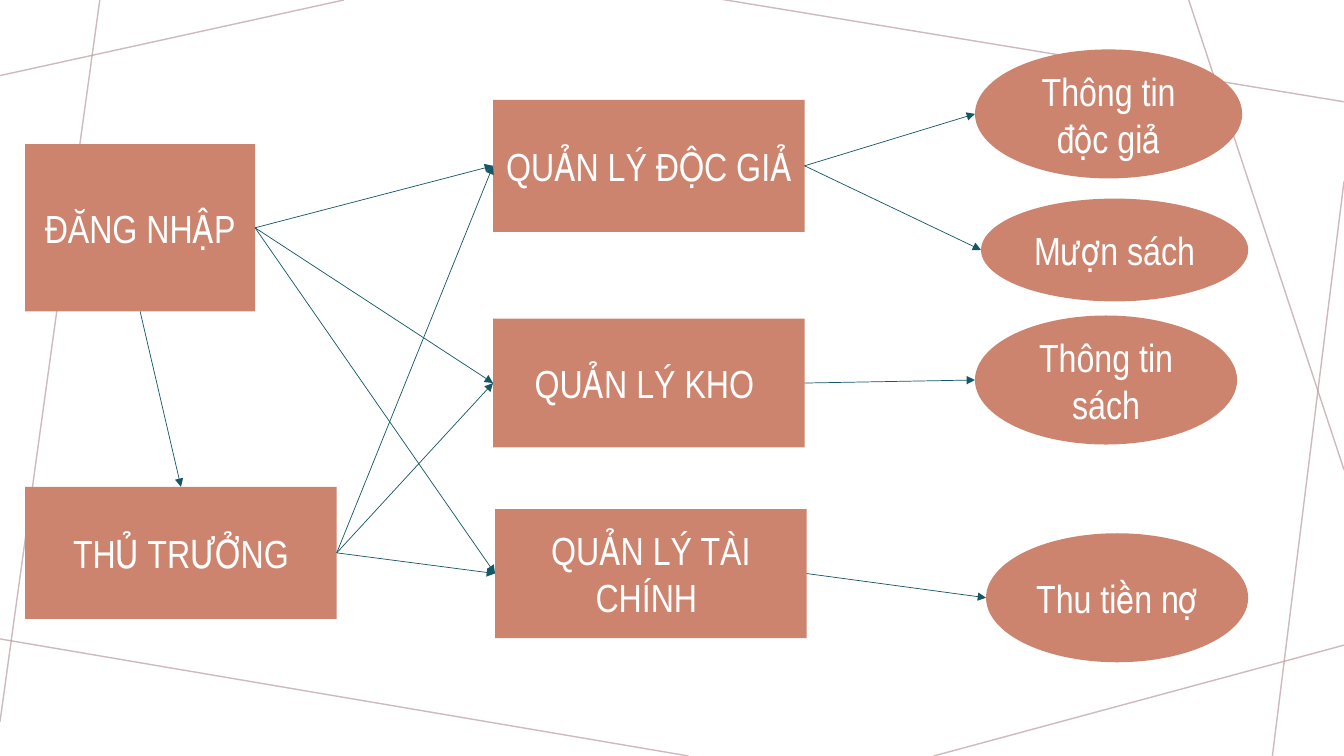
import pptx
import pptx.util
import pptx.dml.color
import pptx.enum.shapes
import pptx.enum.text
import pptx.oxml
import pptx.oxml.ns
from dataclasses import dataclass

Inches, Pt = pptx.util.Inches, pptx.util.Pt
RGB = pptx.dml.color.RGBColor.from_string
SHAPE = pptx.enum.shapes.MSO_SHAPE
TOP, LEFT, BOTTOM, RIGHT = range(4)


@dataclass(frozen=True)
class Theme:
    background: str = "FFFFFF"
    node: str = "CC846E"
    text: str = "FFFFFF"
    arrow: str = "155767"
    decoration: str = "BA9CA0"
    decoration_opacity: int = 70
    font: str = "Arial Narrow"
    text_size: float = 28
    arrow_width: float = 0.5
    decoration_width: float = 1


THEME = Theme()

# Content: text, left, top, width, height
MODULES = {
    "login": ("ĐĂNG NHẬP", 0.25, 1.43, 2.28, 1.66),
    "head": ("THỦ TRƯỞNG", 0.25, 4.83, 3.09, 1.31),
    "readers": ("QUẢN LÝ ĐỘC GIẢ", 4.89, 0.99, 3.09, 1.31),
    "stock": ("QUẢN LÝ KHO ", 4.89, 3.16, 3.09, 1.28),
    "finance": ("QUẢN LÝ TÀI CHÍNH ", 4.91, 5.05, 3.09, 1.28),
}
FUNCTIONS = {
    "reader info": ("Thông tin độc giả", 9.67, 0.49, 2.65, 1.28),
    "borrowing": ("Mượn sách", 9.73, 1.97, 2.65, 1.02),
    "book info": ("Thông tin sách", 9.67, 3.13, 2.6, 1.28),
    "debt": ("Thu tiền nợ", 9.78, 5.29, 2.6, 1.28),
}
FLOWS = {
    "login": ["readers", "stock", "finance"],
    "head": ["readers", "stock", "finance"],
    "readers": ["reader info", "borrowing"],
    "stock": ["book info"],
    "finance": ["debt"],
}
DECORATION = [
    (3.41, 0, 0, 0.75),
    (0.99, 0, 0, 7.16),
    (6.83, 7.5, -0.05, 6.33),
    (13.33, 6.4, 9.26, 7.5),
    (13.33, 1.8, 12.62, 7.5),
    (13.33, 4.66, 11.79, 0),
    (13.33, 1.01, 7.14, -0.01),
]

deck = pptx.Presentation()
deck.slide_width, deck.slide_height = Inches(13.33), Inches(7.5)
slide = deck.slides.add_slide(deck.slide_layouts[6])
slide.background.fill.solid()
slide.background.fill.fore_color.rgb = RGB(THEME.background)


def add_child(parent, tag, **attributes):
    child = pptx.oxml.ns.qn(tag)
    element = parent.makeelement(child, attributes)
    parent.append(element)
    return element


def add_line(ends, color, width):
    line = slide.shapes.add_connector(
        pptx.enum.shapes.MSO_CONNECTOR.STRAIGHT, *ends)
    line.line.color.rgb = RGB(color)
    line.line.width = Pt(width)
    add_child(line._element.spPr, "a:effectLst")
    return line


def add_node(preset, text, *box):
    node = slide.shapes.add_shape(preset, *map(Inches, box))
    node.shadow.inherit = False
    node.fill.solid()
    node.fill.fore_color.rgb = RGB(THEME.node)
    node.line.fill.background()
    frame = node.text_frame
    frame.word_wrap = True
    frame.vertical_anchor = pptx.enum.text.MSO_ANCHOR.MIDDLE
    paragraph = frame.paragraphs[0]
    paragraph.text = text
    paragraph.alignment = pptx.enum.text.PP_ALIGN.CENTER
    paragraph.font.name = THEME.font
    paragraph.font.size = Pt(THEME.text_size)
    paragraph.font.color.rgb = RGB(THEME.text)
    return node


def add_flow(source, source_side, target, target_side=None):
    """Join rectangles; without a target side, end at the ellipse's left point."""
    end = target.left, target.top + target.height // 2
    flow = add_line((source.left, source.top, *end), THEME.arrow, THEME.arrow_width)
    flow.begin_connect(source, source_side)
    if target_side is not None:
        flow.end_connect(target, target_side)
    add_child(flow.line._get_or_add_ln(), "a:tailEnd", type="triangle")


# Decorative lines behind the diagram
for ends in DECORATION:
    stroke = add_line(map(Inches, ends), THEME.decoration, THEME.decoration_width)
    color = stroke.line._get_or_add_ln().find(".//" + pptx.oxml.ns.qn("a:srgbClr"))
    add_child(color, "a:alpha", val=str(THEME.decoration_opacity * 1000))

# Modules and their functions
nodes = {key: add_node(SHAPE.RECTANGLE, *item) for key, item in MODULES.items()}
nodes |= {key: add_node(SHAPE.OVAL, *item) for key, item in FUNCTIONS.items()}

# Arrows
add_flow(nodes["login"], BOTTOM, nodes["head"], TOP)
for start, targets in FLOWS.items():
    for target in targets:
        side = LEFT if target in MODULES else None
        add_flow(nodes[start], RIGHT, nodes[target], side)

deck.save("out.pptx")
